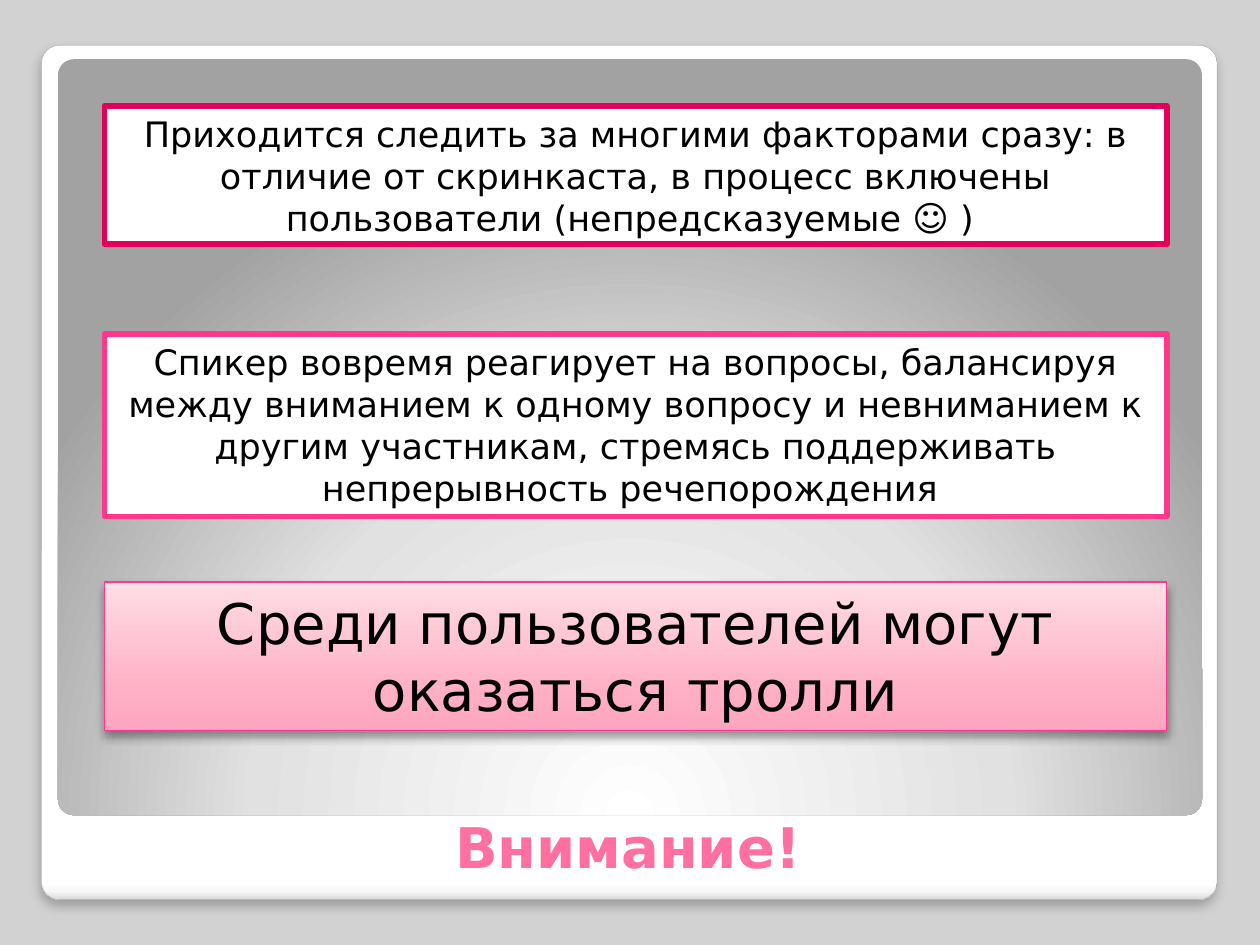
from lxml import etree
from pptx import Presentation
from pptx.dml.color import RGBColor
from pptx.enum import shapes, text
from pptx.oxml import ns
from pptx.util import Inches, Pt

FONT = "DejaVu Sans"
BACKGROUND = RGBColor(0xD2, 0xD2, 0xD2)
WHITE = RGBColor(0xFF, 0xFF, 0xFF)
BLACK = RGBColor(0x00, 0x00, 0x00)
FRAME_LINE = RGBColor(0xA4, 0xA4, 0xA4)
TITLE_PINK = RGBColor(0xFF, 0x6F, 0xA0)
CRIMSON = RGBColor(0xE4, 0x00, 0x59)
PINK = RGBColor(0xFF, 0x38, 0x8C)

FRAME_STOPS = [(0, WHITE), (98, WHITE), (99, RGBColor(0xF7, 0xF7, 0xF7)),
               (100, RGBColor(0xDA, 0xDA, 0xDA))]
SCREEN_STOPS = [(0, WHITE), (55, RGBColor(0xE1, 0xE1, 0xE1)),
                (100, RGBColor(0xA2, 0xA2, 0xA2))]
PINK_STOPS = [(0, RGBColor(0xFF, 0xA5, 0xBF)), (25, RGBColor(0xFF, 0xAF, 0xC5)),
              (100, RGBColor(0xFF, 0xDD, 0xE5))]


def add_element(parent, tag, **attributes):
    values = {name: str(value) for name, value in attributes.items()}
    return etree.SubElement(parent, ns.qn(tag), values)


def set_gradient(shape, stops, angle=None):
    """Fill linearly at an angle, or in circles around a point below the shape."""
    shape.fill.solid()
    properties = shape._element.spPr
    gradient = etree.Element(ns.qn("a:gradFill"), rotWithShape="1")
    stop_list = add_element(gradient, "a:gsLst")
    for position, color in stops:
        stop = add_element(stop_list, "a:gs", pos=position * 1000)
        add_element(stop, "a:srgbClr", val=color)
    if angle is None:
        circles = add_element(gradient, "a:path", path="circle")
        add_element(circles, "a:fillToRect", l=50000, t=175000, r=50000, b=-75000)
    else:
        add_element(gradient, "a:lin", ang=angle * 60000, scaled=0)
    properties.replace(properties.find(ns.qn("a:solidFill")), gradient)


def set_shadow(shape, opacity, blur, distance):
    """Drop a black shadow straight down."""
    effects = shape._element.spPr.find(ns.qn("a:effectLst"))
    shadow = add_element(effects, "a:outerShdw", blurRad=Pt(blur), dist=Pt(distance),
                         dir=5400000, algn="t", rotWithShape=0)
    color = add_element(shadow, "a:srgbClr", val=BLACK)
    add_element(color, "a:alpha", val=opacity * 1000)


def add_plain_shape(slide, kind, left, top, width, height, line=None, weight=0):
    shape = slide.shapes.add_shape(kind, Inches(left), Inches(top),
                                   Inches(width), Inches(height))
    shape.shadow.inherit = False
    if line is None:
        shape.line.fill.background()
    else:
        shape.line.color.rgb = line
        shape.line.width = Pt(weight)
    return shape


def add_frame(slide, left, top, width, height):
    """Add the white frame with the grey screen inside it."""
    rounded = shapes.MSO_SHAPE.ROUNDED_RECTANGLE
    frame = add_plain_shape(slide, rounded, left, top, width, height, FRAME_LINE, 0.16)
    set_gradient(frame, FRAME_STOPS, 90)
    set_shadow(frame, opacity=25, blur=6, distance=4)
    screen = add_plain_shape(slide, rounded, left + 0.13, top + 0.11, width - 0.25, 6)
    set_gradient(screen, SCREEN_STOPS)
    for shape in (frame, screen):
        shape.adjustments[0] = 0.021


def write(shape, wording, size, color, bold=False):
    shape.text_frame.word_wrap = True
    paragraph = shape.text_frame.paragraphs[0]
    paragraph.text = wording
    paragraph.alignment = text.PP_ALIGN.CENTER
    font = paragraph.font
    font.name, font.size, font.bold = FONT, Pt(size), bold
    font.color.rgb = color


def place_title(slide, left, top, width, height):
    title = slide.shapes.title
    title.left, title.top = Inches(left), Inches(top)
    title.width, title.height = Inches(width), Inches(height)
    title.text_frame.vertical_anchor = text.MSO_ANCHOR.BOTTOM
    write(title, "Внимание!", 32, TITLE_PINK, bold=True)
    slide.shapes._spTree.append(title._element)  # in front of the frame


def add_message(slide, top, height, wording, size, line, weight):
    box = add_plain_shape(slide, shapes.MSO_SHAPE.RECTANGLE, 0.83, top, 8.43, height,
                          line, weight)
    box.fill.solid()
    box.fill.fore_color.rgb = WHITE
    box.text_frame.vertical_anchor = text.MSO_ANCHOR.TOP
    write(box, wording, size, BLACK)
    return box


def add_messages(slide):
    trolls = add_message(slide, 4.62, 1.18, "Среди пользователей могут оказаться тролли",
                         32, PINK, 0.75)
    set_gradient(trolls, PINK_STOPS, 270)
    set_shadow(trolls, opacity=40, blur=5.2, distance=3)
    add_message(slide, 0.84, 1.1,
                "Приходится следить за многими факторами сразу: в отличие от скринкаста, "
                "в процесс включены пользователи (непредсказуемые ☺ ) ",
                20, CRIMSON, 3.35)
    add_message(slide, 2.65, 1.45,
                "Спикер вовремя реагирует на вопросы, балансируя между вниманием к одному "
                "вопросу и невниманием к другим участникам, стремясь поддерживать "
                "непрерывность речепорождения ",
                20, PINK, 3.35)


def main():
    presentation = Presentation()
    presentation.slide_width, presentation.slide_height = Inches(10), Inches(7.5)
    slide = presentation.slides.add_slide(presentation.slide_layouts[5])
    slide.background.fill.solid()
    slide.background.fill.fore_color.rgb = BACKGROUND
    add_frame(slide, 0.33, 0.36, 9.33, 6.78)
    place_title(slide, 0.51, 5.88, 8.95, 1.15)
    add_messages(slide)
    presentation.save("out.pptx")


if __name__ == "__main__":
    main()
